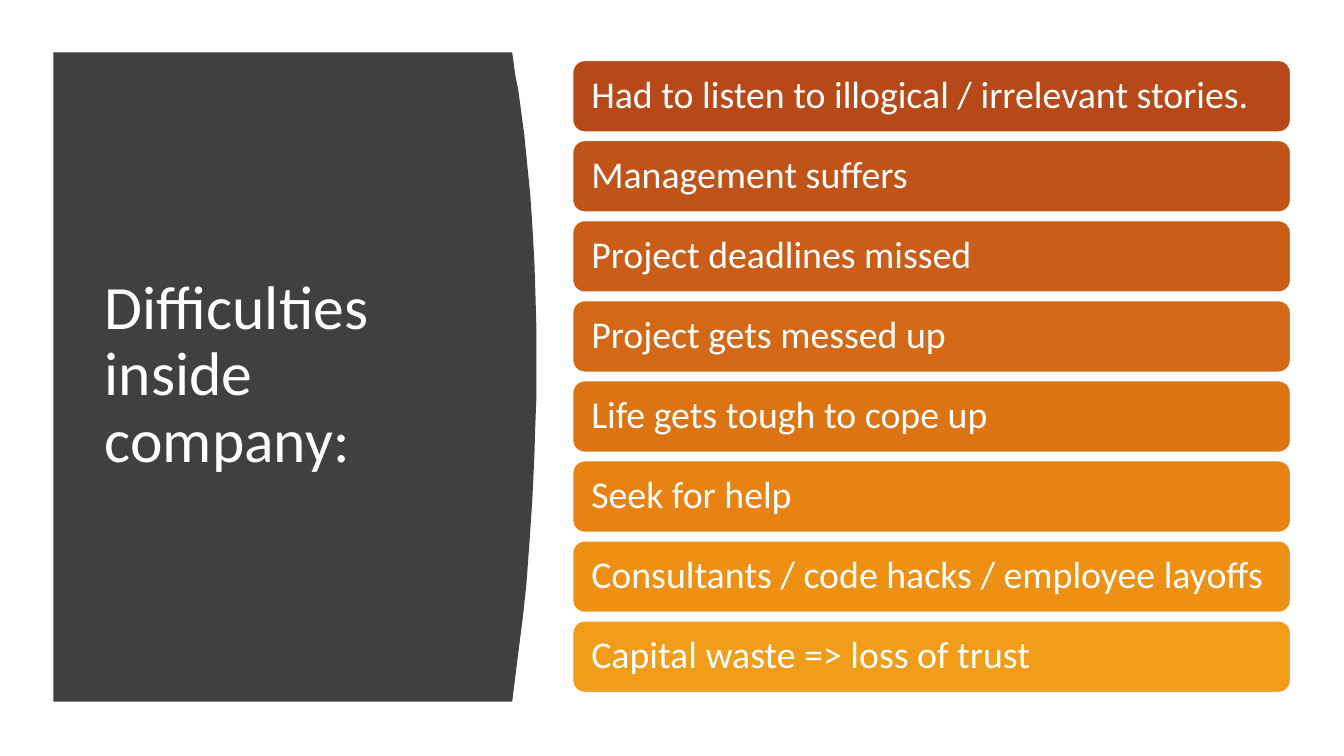
from pptx import Presentation
from pptx.dml.color import RGBColor
from pptx.enum.shapes import MSO_SHAPE
from pptx.enum.text import MSO_ANCHOR, MSO_AUTO_SIZE, PP_ALIGN
from pptx.util import Inches, Pt

ROUNDED = MSO_SHAPE.ROUNDED_RECTANGLE
MIDDLE = MSO_ANCHOR.MIDDLE
LEFT = PP_ALIGN.LEFT
NO_FIT = MSO_AUTO_SIZE.NONE
TITLE_ONLY = 5


def color(value):
    return RGBColor.from_string(value)


class SlideBuilder:
    font = "Calibri"
    white = "FFFFFF"
    dark = "404040"

    def __init__(self, page):
        self.page = page

    def set_text(self, shape, text, size, inset):
        frame = shape.text_frame
        frame.text = text
        frame.word_wrap = True
        frame.auto_size = NO_FIT
        frame.vertical_anchor = MIDDLE
        frame.margin_left = frame.margin_right = Inches(inset)
        frame.margin_top = frame.margin_bottom = Inches(0.05)
        para = frame.paragraphs[0]
        para.alignment = LEFT
        para.line_spacing = 0.9
        span = para.runs[0]
        span.font.name = self.font
        span.font.size = Pt(size)
        span.font.color.rgb = color(self.white)

    def panel(self, points):
        corners = [(Inches(x), Inches(y)) for x, y in points]
        outline = self.page.shapes.build_freeform(*corners[0])
        outline.add_line_segments(corners[1:], close=True)
        shape = outline.convert_to_shape()
        shape.shadow.inherit = False
        shape.fill.solid()
        shape.fill.fore_color.rgb = color(self.dark)
        shape.line.fill.background()
        return shape

    def title(self, text, left, top, width, height, behind):
        box = self.page.shapes.title
        box.left, box.top = Inches(left), Inches(top)
        box.width, box.height = Inches(width), Inches(height)
        self.set_text(box, text, 44, 0.1)
        behind.element.addnext(box.element)

    def bar(self, text, fill, left, top, width, height):
        shape = self.page.shapes.add_shape(
            ROUNDED, Inches(left), Inches(top), Inches(width), Inches(height))
        shape.shadow.inherit = False
        shape.fill.solid()
        shape.fill.fore_color.rgb = color(fill)
        shape.line.color.rgb = color(self.white)
        shape.line.width = Pt(1)
        self.set_text(shape, text, 27, 0.15)


PANEL_LEFT, PANEL_TOP, PANEL_BOTTOM = 0.53, 0.52, 6.96
CURVE = [
    (5.08, PANEL_TOP), (5.11, 0.74), (5.14, 0.89), (5.16, 1.04), (5.18, 1.19),
    (5.2, 1.34), (5.23, 1.64), (5.26, 1.94), (5.28, 2.24), (5.3, 2.6),
    (5.31, 2.9), (5.32, 3.25), (5.32, 3.94), (5.31, 4.2), (5.3, 4.52),
    (5.28, 4.95), (5.25, 5.4), (5.22, 5.81), (5.18, 6.17), (5.14, 6.48),
    (5.11, 6.72), (5.08, PANEL_BOTTOM),
]
DIFFICULTIES = [
    ("Had to listen to illogical / irrelevant stories.", "B74919"),
    ("Management suffers", "C05318"),
    ("Project deadlines missed", "CA5D17"),
    ("Project gets messed up", "D36816"),
    ("Life gets tough to cope up", "DD7414"),
    ("Seek for help", "E78213"),
    ("Consultants / code hacks / employee layoffs", "EE9013"),
    ("Capital waste => loss of trust", "F19D19"),
]
BAR_LEFT, BAR_WIDTH, BAR_HEIGHT = 5.68, 7.12, 0.71
FIRST_TOP, LAST_TOP = 0.6, 6.16
BAR_STEP = (LAST_TOP - FIRST_TOP) / (len(DIFFICULTIES) - 1)

deck = Presentation()
deck.slide_width, deck.slide_height = Inches(13.33), Inches(7.5)
builder = SlideBuilder(deck.slides.add_slide(deck.slide_layouts[TITLE_ONLY]))

panel = builder.panel(
    [(PANEL_LEFT, PANEL_TOP), *CURVE, (PANEL_LEFT, PANEL_BOTTOM)])
builder.title("Difficulties inside company:", 0.94, 1.11, 3.74, 5.24, panel)
for row, (difficulty, fill) in enumerate(DIFFICULTIES):
    builder.bar(difficulty, fill, BAR_LEFT, FIRST_TOP + row * BAR_STEP,
                BAR_WIDTH, BAR_HEIGHT)

deck.save("out.pptx")
